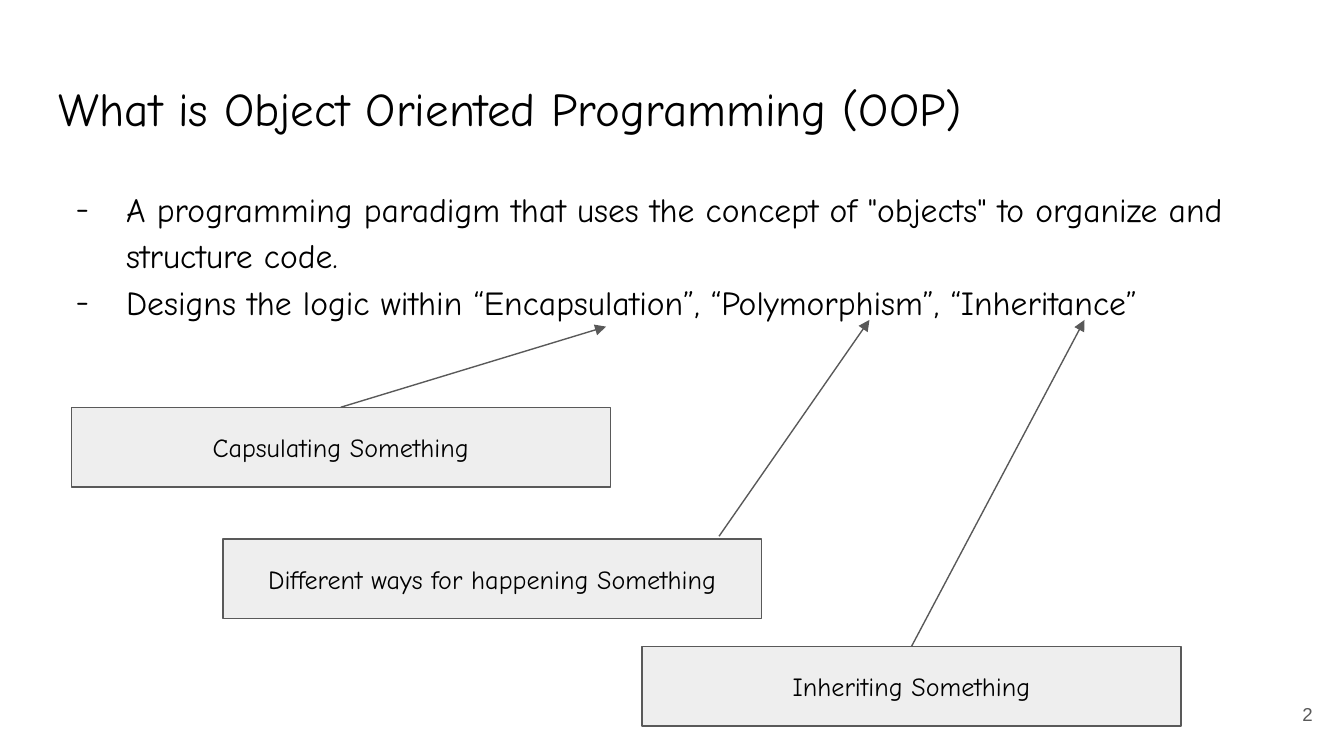
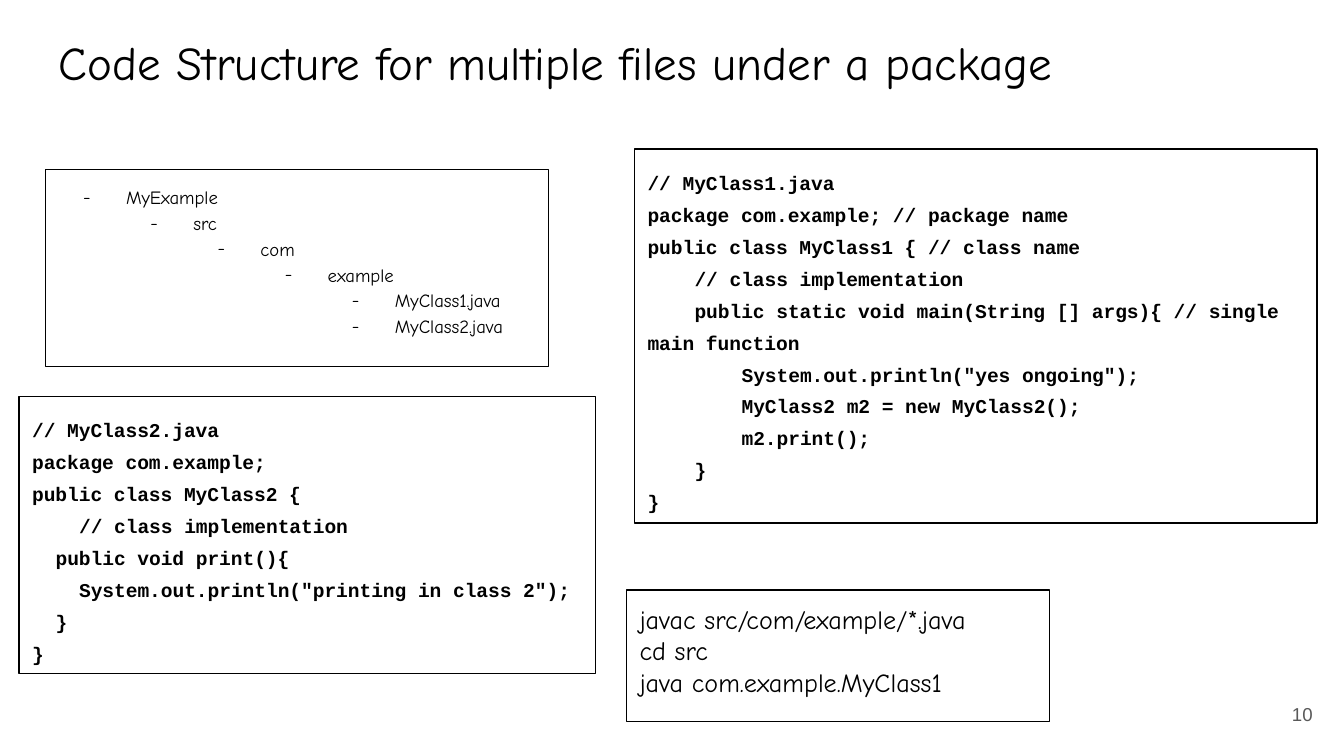
from lxml import etree
from pptx import Presentation
from pptx.dml.color import RGBColor
from pptx.enum.shapes import MSO_CONNECTOR, MSO_SHAPE
from pptx.enum.text import MSO_ANCHOR, MSO_AUTO_SIZE, PP_ALIGN
from pptx.oxml.ns import qn
from pptx.util import Pt

LEFT, CENTER, RIGHT = PP_ALIGN.LEFT, PP_ALIGN.CENTER, PP_ALIGN.RIGHT
TOP, MIDDLE = MSO_ANCHOR.TOP, MSO_ANCHOR.MIDDLE
FIT_TEXT = MSO_AUTO_SIZE.SHAPE_TO_FIT_TEXT
RECTANGLE, STRAIGHT = MSO_SHAPE.RECTANGLE, MSO_CONNECTOR.STRAIGHT

BLACK, GRAY, PALE = "000000", "595959", "EEEEEE"
HAND, SANS, MONO = "Comic Neue", "Arial", "Courier New"
CODE_SIZE = 10.5
CODE_CHARACTER = CODE_SIZE * 0.6
LINE_WIDTH = 0.75
INSET = 7.2


def add_text(page, place, lines, size, font=HAND, color=BLACK, bold=False,
             align=LEFT, anchor=TOP, spacing=1.0, line=None, fill=None):
    """Add a text box, or a rectangle when a line colour is given.

    Leading spaces become a first-line indent, one code character each.
    """
    place = [Pt(length) for length in place]
    if line:
        box = page.shapes.add_shape(RECTANGLE, *place)
        box.shadow.inherit = False
        box.line.color.rgb = RGBColor.from_string(line)
        box.line.width = Pt(LINE_WIDTH)
        if fill:
            box.fill.solid()
            box.fill.fore_color.rgb = RGBColor.from_string(fill)
        else:
            box.fill.background()
    else:
        box = page.shapes.add_textbox(*place)
    frame = box.text_frame
    frame.word_wrap = True
    frame.vertical_anchor = anchor
    for side in ("left", "top", "right", "bottom"):
        setattr(frame, f"margin_{side}", Pt(INSET))
    for index, text in enumerate(lines):
        para = frame.add_paragraph() if index else frame.paragraphs[0]
        para.alignment = align
        para.line_spacing = spacing
        words = text.lstrip()
        if words != text:
            indent = Pt((len(text) - len(words)) * CODE_CHARACTER)
            para._p.get_or_add_pPr().set("indent", str(indent))
        span = para.add_run()
        span.text = words
        for name, value in {"size": Pt(size), "name": font, "bold": bold}.items():
            setattr(span.font, name, value)
        span.font.color.rgb = RGBColor.from_string(color)
    return box


def add_dashes(box, levels, hang):
    """Give each paragraph a dash, 36 points further in per level."""
    for para, level in zip(box.text_frame.paragraphs, levels):
        para.level = level
        properties = para._p.get_or_add_pPr()
        properties.set("marL", str(Pt(36 * (level + 1))))
        properties.set("indent", str(Pt(-hang)))
        bullet_color = etree.SubElement(properties, qn("a:buClr"))
        etree.SubElement(bullet_color, qn("a:srgbClr"), val=BLACK)
        etree.SubElement(properties, qn("a:buFont"), typeface=HAND)
        etree.SubElement(properties, qn("a:buChar"), char="-")


deck = Presentation()
deck.slide_width, deck.slide_height = Pt(720), Pt(405)

# What both slides share: title and page number
pages = []
for title, title_top, number in [
    ("What is Object Oriented Programming (OOP)", 35.4, "2"),
    ("Code Structure for multiple files under a package", 10.8, "10"),
]:
    page = deck.slides.add_slide(deck.slide_layouts[6])
    add_text(page, (24.5, title_top, 671, 45.1), [title], 25.2)
    add_text(page, (667.1, 367.2, 43.2, 31), [number], 10, SANS, GRAY,
             align=RIGHT, anchor=MIDDLE)
    pages.append(page)
concept_page, package_page = pages

# Object oriented programming: definition and explained terms
definition = add_text(concept_page, (24.5, 90.7, 671, 269.3), [
    'A programming paradigm that uses the concept of "objects" to organize and structure code.',
    "Designs the logic within “Encapsulation”, “Polymorphism”, “Inheritance”",
], 18, spacing=1.15)
add_dashes(definition, [0, 0], 27)

# Without a start of its own, an arrow leaves the middle of the box's top side
for meaning, left, top, start, tip in [
    ("Capsulating Something", 38.2, 218.2, None, (324.7, 175)),
    ("Different ways for happening Something", 119.4, 288.7, (385.2, 287.3), (465.8, 171.4)),
    ("Inheriting Something", 344, 346.3, None, (581, 171.4)),
]:
    box = add_text(concept_page, (left, top, 288.7, 42.7), [meaning], 14,
                   align=CENTER, anchor=MIDDLE, line=GRAY, fill=PALE)
    ends = (*(start or (left, top)), *tip)
    arrow = concept_page.shapes.add_connector(STRAIGHT, *[Pt(length) for length in ends])
    if start is None:
        arrow.begin_connect(box, 0)
    arrow.line.color.rgb = RGBColor.from_string(GRAY)
    arrow.line.width = Pt(LINE_WIDTH)
    etree.SubElement(arrow.line._get_or_add_ln(), qn("a:tailEnd"), type="triangle")
    etree.SubElement(arrow._element.spPr, qn("a:effectLst"))

# Package: folder tree, the two classes, and the commands
tree = add_text(package_page, (24.5, 90.7, 269.3, 105.8),
                ["MyExample", "src", "com", "example", "MyClass1.java", "MyClass2.java"],
                10, spacing=1.15, line=BLACK)
add_dashes(tree, [0, 1, 2, 3, 4, 4], 23)

main_class = """// MyClass1.java
package com.example; // package name
public class MyClass1 { // class name
    // class implementation
    public static void main(String [] args){ // single main function
        System.out.println("yes ongoing");
        MyClass2 m2 = new MyClass2();
        m2.print();
    }
}"""
printing_class = """// MyClass2.java
package com.example;
public class MyClass2 {
    // class implementation
  public void print(){
    System.out.println("printing in class 2");
  }
}"""
for place, code in [
    ((339.8, 79.9, 365.8, 200.2), main_class),
    ((10.1, 212.4, 308.9, 148.3), printing_class),
]:
    box = add_text(package_page, place, code.splitlines(), CODE_SIZE, MONO,
                   bold=True, spacing=1.36, line=BLACK)
    box.text_frame.auto_size = FIT_TEXT

add_text(package_page, (335.5, 316.1, 226.8, 70.6),
         ["javac src/com/example/*.java", "cd src", "java com.example.MyClass1"],
         14, line=BLACK)

deck.save("out.pptx")
